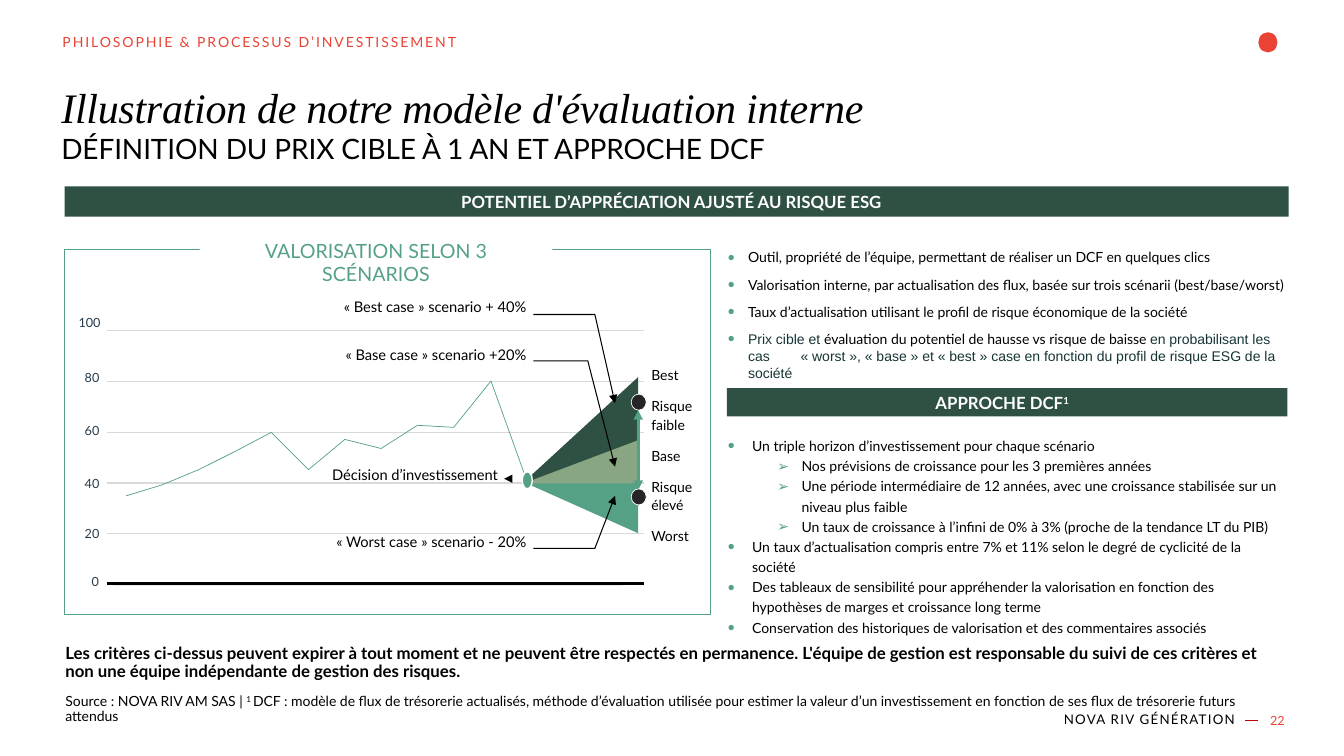
from dataclasses import dataclass

from lxml import etree
from pptx import Presentation
from pptx.dml.color import RGBColor
from pptx.enum.shapes import MSO_CONNECTOR, MSO_SHAPE
from pptx.enum.text import MSO_ANCHOR, MSO_AUTO_SIZE, PP_ALIGN
from pptx.oxml.ns import qn
from pptx.util import Inches, Pt

RECTANGLE, OVAL, TRIANGLE = MSO_SHAPE.RECTANGLE, MSO_SHAPE.OVAL, MSO_SHAPE.RIGHT_TRIANGLE
STRAIGHT = MSO_CONNECTOR.STRAIGHT
TOP, MIDDLE, BOTTOM = MSO_ANCHOR.TOP, MSO_ANCHOR.MIDDLE, MSO_ANCHOR.BOTTOM
LEFT, CENTER, RIGHT = PP_ALIGN.LEFT, PP_ALIGN.CENTER, PP_ALIGN.RIGHT
GROW, FIXED = MSO_AUTO_SIZE.SHAPE_TO_FIT_TEXT, MSO_AUTO_SIZE.NONE
COLUMNS, ROWS = 133.3, 75


@dataclass(frozen=True)
class Theme:
    black: str = "000000"
    white: str = "FFFFFF"
    red: str = "EA4334"
    dash: str = "C00000"
    forest: str = "2E5144"
    green: str = "55A185"
    sage: str = "88A682"
    teal: str = "163436"
    slate: str = "283B4C"
    marker: str = "272428"
    grid: str = "D9D9D9"
    faint: str = "EAEAEA"
    lato: str = "Lato"
    serif: str = "Times New Roman"
    sans: str = "Arial"
    title: float = 30
    subtitle: float = 20
    panel: float = 14
    heading: float = 12
    label: float = 10.5
    body: float = 10
    footer: float = 9.5
    small: float = 9


class Board:
    def __init__(self, deck, theme):
        self.theme = theme
        self.page = deck.slides.add_slide(deck.slide_layouts[6])
        self.column = deck.slide_width / COLUMNS
        self.row = deck.slide_height / ROWS

    def place(self, *lengths):
        units = (self.column, self.row)
        return [round(length * units[i % 2]) for i, length in enumerate(lengths)]

    def paint(self, shape, fill=None, line=None, weight=0.75):
        shape.shadow.inherit = False
        if fill:
            shape.fill.solid()
            shape.fill.fore_color.rgb = RGBColor.from_string(fill)
        else:
            shape.fill.background()
        if line:
            self.stroke(shape, line, weight)
        else:
            shape.line.fill.background()

    def stroke(self, shape, color, weight, ends=()):
        shape.line.color.rgb = RGBColor.from_string(color)
        shape.line.width = Pt(weight)
        outline = shape.line._get_or_add_ln()
        for end in ends:
            etree.SubElement(outline, qn(f"a:{end}"), type="triangle")

    def shape(self, kind, area, rotation=0, **look):
        shape = self.page.shapes.add_shape(kind, *self.place(*area))
        shape.rotation = rotation
        self.paint(shape, **look)
        return shape

    def line(self, start, end, color, weight=0.75, ends=()):
        line = self.page.shapes.add_connector(STRAIGHT, *self.place(*start, *end))
        self.stroke(line, color, weight, ends)
        etree.SubElement(line._element.spPr, qn("a:effectLst"))

    def outline(self, points, closed=False, ends=(), **look):
        corners = [self.place(*point) for point in points]
        builder = self.page.shapes.build_freeform(*corners[0], scale=1.0)
        builder.add_line_segments(corners[1:], close=closed)
        shape = builder.convert_to_shape()
        self.paint(shape, **look)
        if ends:
            self.stroke(shape, look["line"], look.get("weight", 0.75), ends)

    def text(self, area, paragraphs, **style):
        box = self.page.shapes.add_textbox(*self.place(*area))
        self.fill_text(box, paragraphs, **style)

    def fill_text(self, box, paragraphs, insets=(1, 0.5, 1, 0.5), anchor=TOP, grow=False,
                  align=LEFT, spacing=None, before=0, **font):
        frame = box.text_frame
        sides = ("margin_left", "margin_top", "margin_right", "margin_bottom")
        settings = dict(zip(sides, self.place(*insets)), word_wrap=True,
                        vertical_anchor=anchor, auto_size=GROW if grow else FIXED)
        for name, value in settings.items():
            setattr(frame, name, value)
        for i, item in enumerate([paragraphs] if isinstance(paragraphs, str) else paragraphs):
            item = item if isinstance(item, dict) else {"spans": item}
            para = frame.add_paragraph() if i else frame.paragraphs[0]
            self.mark(para, **{key: value for key, value in item.items() if key != "spans"})
            values = {"alignment": align, "line_spacing": spacing,
                      "space_before": Pt(before) if i else None}
            for name, value in values.items():
                setattr(para, name, value)
            spans = item["spans"]
            for span in [(spans, {})] if isinstance(spans, str) else spans:
                self.span(para, span[0], **{"name": self.theme.lato, "color": self.theme.black,
                                            **font, **span[1]})

    def mark(self, para, bullet=None, margin=0, hang=0, scale=None, level=0, tab=None):
        para.level = level
        if not bullet:
            return
        props = para._p.get_or_add_pPr()
        props.set("marL", str(self.place(margin)[0]))
        props.set("indent", str(-self.place(hang)[0]))
        color = etree.SubElement(props, qn("a:buClr"))
        etree.SubElement(color, qn("a:srgbClr"), val=self.theme.green)
        if scale:
            etree.SubElement(props, qn("a:buSzPct"), val=str(scale * 1000))
        etree.SubElement(props, qn("a:buFont"), typeface=self.theme.sans)
        etree.SubElement(props, qn("a:buChar"), char=bullet)
        if tab:
            stops = etree.SubElement(props, qn("a:tabLst"))
            etree.SubElement(stops, qn("a:tab"), pos=str(self.place(tab)[0]), algn="l")

    def span(self, para, text, size, color, tracking=0, raised=False, **font):
        span = para.add_run()
        span.text = text
        for key, value in {"size": Pt(size), **font}.items():
            setattr(span.font, key, value)
        span.font.color.rgb = RGBColor.from_string(color)
        props = span._r.get_or_add_rPr()
        for key, value in {"spc": round(tracking * 100), "baseline": 30000 if raised else 0}.items():
            if value:
                props.set(key, str(value))


def add_header(board, theme):
    board.shape(OVAL, (124.8, 3.2, 1.9, 2), fill=theme.red)
    board.text((6.2, 3.4, 115, 1.6), "PHILOSOPHIE & PROCESSUS D’INVESTISSEMENT", insets=(0, 0.1, 0, 0),
               grow=True, spacing=0.9, size=theme.body, color=theme.red, tracking=1.4)
    board.text((5.1, 5.2, 128.2, 8.4), "Illustration de notre modèle d'évaluation interne", anchor=BOTTOM,
               spacing=Pt(58.5), size=theme.title, name=theme.serif, italic=True, tracking=-0.2)
    board.text((5.1, 12.9, 128.2, 5.1), "DÉFINITION DU PRIX CIBLE À 1 AN ET APPROCHE DCF",
               spacing=0.9, size=theme.subtitle, tracking=-0.1)
    banners = [((6.4, 18.5, 121.4, 3), [("POTENTIEL D’APPRÉCIATION AJUSTÉ AU RISQUE ESG", {})]),
               ((72.1, 38.5, 55.6, 2.8), [("APPROCHE DCF", {}), ("1", {"raised": True})])]
    for area, spans in banners:
        banner = board.shape(RECTANGLE, area, fill=theme.forest)
        board.fill_text(banner, [spans], insets=(0, 0.5, 1, 0.5), align=CENTER,
                        size=theme.heading, color=theme.white, bold=True)


def add_scenarios(board, theme):
    tight = {"insets": (0, 0, 0, 0), "grow": True}
    board.shape(RECTANGLE, (6.4, 24.8, 64.1, 36.2), line=theme.green)
    board.line((11.2, 58), (61.8, 58), theme.faint, 0)
    for step in range(5):
        level = 52.95 - 5.03 * step
        board.line((10.6, level), (63.9, level), theme.grid)
    board.line((10.6, 57.85), (63.9, 57.85), theme.black, 0)
    prices = [(12.5, 49.2), (16.1, 48.1), (19.7, 46.6), (23.3, 44.8), (26.9, 42.9), (30.6, 46.6),
              (34.2, 43.6), (37.8, 44.5), (41.4, 42.2), (45, 42.4), (48.7, 37.8), (52.4, 48.1),
              (56, 48.4), (55.7, 48.3), (59, 46.3)]
    board.outline(prices, line=theme.green, weight=0.5)
    ticks = [("0", 9.1, 56.9, 0.7), ("20", 8.4, 52.2, 2.1), ("40", 8.4, 47.2, 2.1),
             ("60", 8.4, 42, 2.1), ("80", 8.4, 36.7, 2.1), ("100", 7.8, 31.2, 2.4)]
    for tick, left, top, width in ticks:
        board.text((left, top, width, 1.5), tick, size=theme.small, color=theme.slate, **tight)
    board.outline([(52.2, 47.6), (63.3, 47.6), (63.3, 37.4)], closed=True, fill=theme.forest)
    board.shape(TRIANGLE, (51.9, 47.8, 11.4, 5.1), rotation=180, fill=theme.green)
    board.shape(TRIANGLE, (55.5, 40.1, 4.3, 11.4), rotation=270, fill=theme.sage)
    captions = [("Décision d’investissement", 24.5, 46.2), ("«\u00a0Best case\u00a0» scenario + 40%", 27.3, 29.5),
                ("« Base case\u00a0» scenario +20%", 27.3, 34.3),
                ("«\u00a0Worst case\u00a0» scenario - 20%", 27.3, 52.9)]
    for caption, left, top in captions:
        board.text((left, top, 24.9, 1.8), caption, align=RIGHT, size=theme.label, **tight)
    board.shape(OVAL, (51.8, 46.8, 1, 1.7), fill=theme.green, line=theme.white, weight=1)
    for target, elbow, start in [(40, 59, 31.2), (46.3, 58.3, 35.8), (49.2, 59, 54.4)]:
        board.outline([(61, target), (elbow, start), (52.9, start)], line=theme.black, ends=["headEnd"])
    board.line((50, 47.5), (50.1, 47.5), theme.black, ends=["headEnd"])
    heading = board.shape(RECTANGLE, (19.8, 23.2, 35, 3.4), fill=theme.white)
    board.fill_text(heading, "VALORISATION SELON 3 SCÉNARIOS", grow=True, align=CENTER,
                    size=theme.panel, color=theme.green)
    board.line((63.3, 40.7), (63.3, 48.6), theme.green, 2.25, ["headEnd", "tailEnd"])
    for top in (48.5, 39.1):
        board.shape(OVAL, (62.6, top, 1.5, 1.6), fill=theme.marker, line=theme.white, weight=0.5)
    outcomes = [("Best", 36.2, 1.7), ("Risque faible", 39.3, 3.5), ("Base", 44.2, 1.7),
                ("Risque élevé", 47.3, 3.5), ("Worst", 52.2, 1.7)]
    for outcome, top, height in outcomes:
        board.text((64.6, top, 4.5, height), outcome, spacing=1.1, size=theme.body, **tight)


def add_arguments(board, theme):
    point = {"bullet": "•", "margin": 2, "hang": 2, "scale": 140}
    tinted = {"name": theme.sans, "color": theme.teal}
    tool = ["Outil, propriété de l’équipe, permettant de réaliser un DCF en quelques clics",
            "Valorisation interne, par actualisation des flux, basée sur trois scénarii (best/base/worst)",
            "Taux d’actualisation utilisant le profil de risque économique de la société",
            [("Prix cible et ", tinted), ("évaluation du potentiel de hausse vs risque de baisse ", {}),
             ("en probabilisant les cas\t« worst », « base » et « best » case en fonction du profil "
              "de risque ESG de la société", tinted)]]
    board.text((72.2, 23.4, 55.6, 14), [{**point, "spans": spans, "tab": 7.2} for spans in tool],
               insets=(0, 1.3, 0, 0), before=7.4, size=theme.body)
    main_point = {**point, "margin": 2.4, "hang": 2.4}
    detail = {"bullet": "➢", "margin": 7.3, "hang": 2.4, "level": 1}
    approach = [(main_point, "Un triple horizon d’investissement pour chaque scénario"),
                (detail, "Nos prévisions de croissance pour les 3 premières années"),
                (detail, "Une période intermédiaire de 12 années, avec une croissance stabilisée "
                         "sur un niveau plus faible"),
                (detail, "Un taux de croissance à l’infini de 0% à 3% (proche de la tendance LT du PIB)"),
                (main_point, "Un taux d’actualisation compris entre 7% et 11% selon le degré de "
                             "cyclicité de la société"),
                (main_point, "Des tableaux de sensibilité pour appréhender la valorisation en fonction des "
                             "hypothèses de marges et croissance long terme"),
                (main_point, "Conservation des historiques de valorisation et des commentaires associés")]
    board.text((72.2, 42.6, 55.6, 21), [{**mark, "spans": spans} for mark, spans in approach],
               insets=(0, 0.5, 1, 0.5), grow=True, spacing=1.2, size=theme.body)


def add_footer(board, theme):
    board.text((5.5, 62.7, 122.6, 5.4), "Les critères ci-dessus peuvent expirer à tout moment et ne peuvent être "
               "respectés en permanence. L'équipe de gestion est responsable du suivi de ces critères et non une "
               "équipe indépendante de gestion des risques.", anchor=BOTTOM, spacing=0.9,
               size=theme.heading, bold=True)
    source = [("Source : NOVA RIV AM SAS | ", {}), ("1 ", {"raised": True}),
              ("DCF : modèle de flux de trésorerie actualisés, méthode d’évaluation utilisée pour estimer la "
               "valeur d’un investissement en fonction de ses flux de trésorerie futurs attendus", {})]
    board.text((5.5, 68.4, 122.6, 4), [source], anchor=BOTTOM, spacing=0.9, size=theme.body)
    board.text((55.6, 70.5, 66.9, 1.7), "NOVA RIV GÉNÉRATION", insets=(0, 0.1, 0, 0), grow=True,
               align=RIGHT, size=theme.footer, tracking=0.9)
    board.line((123.5, 71.5), (124.8, 71.5), theme.dash, 0.5)
    board.text((117.3, 69.5, 11.1, 4), "22", anchor=MIDDLE, align=RIGHT, size=theme.small,
               color=theme.red, tracking=-0.1)


def main():
    deck = Presentation()
    deck.slide_width, deck.slide_height = Inches(13.33), Inches(7.5)
    theme = Theme()
    board = Board(deck, theme)
    for add_section in (add_header, add_scenarios, add_arguments, add_footer):
        add_section(board, theme)
    deck.save("out.pptx")


if __name__ == "__main__":
    main()
